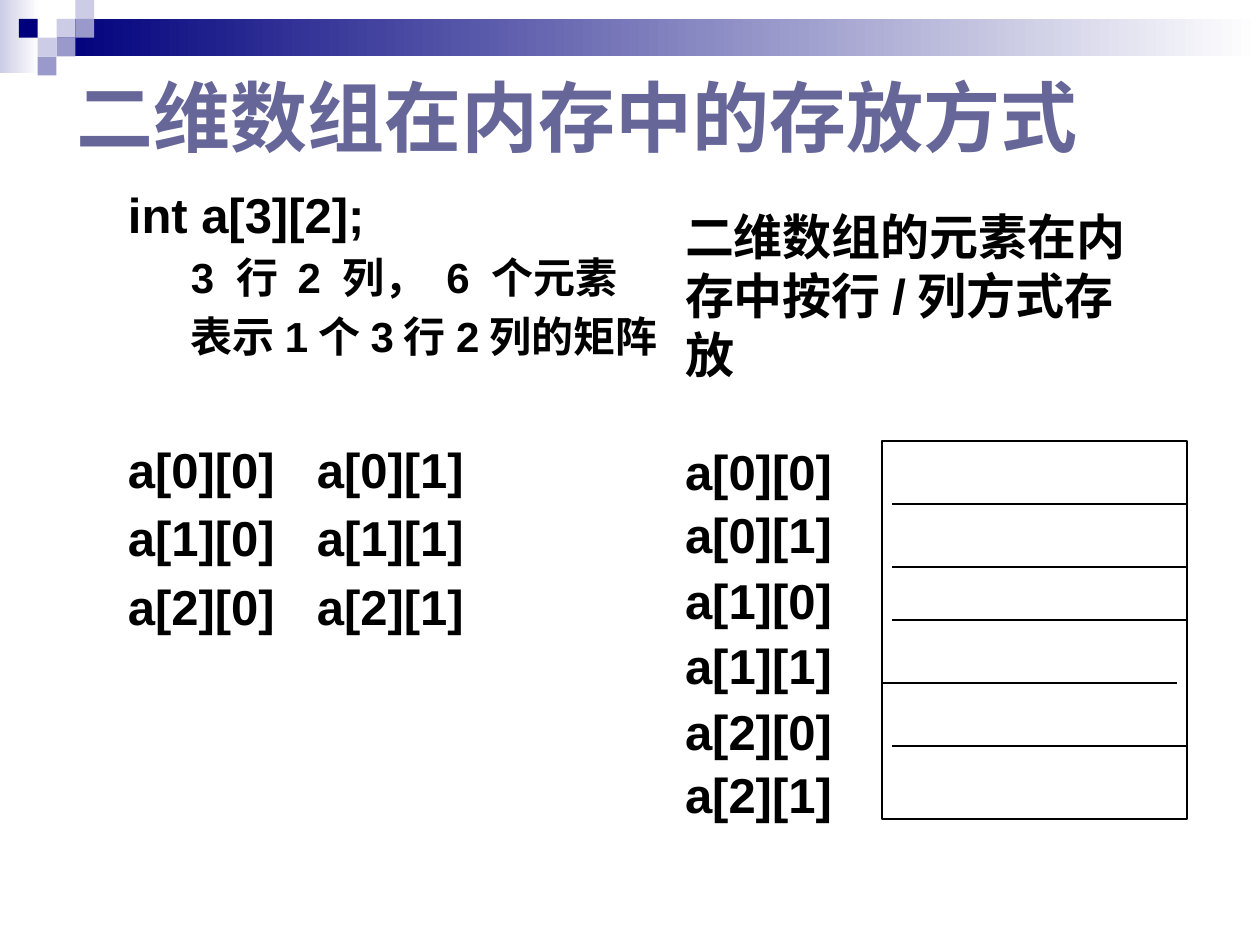
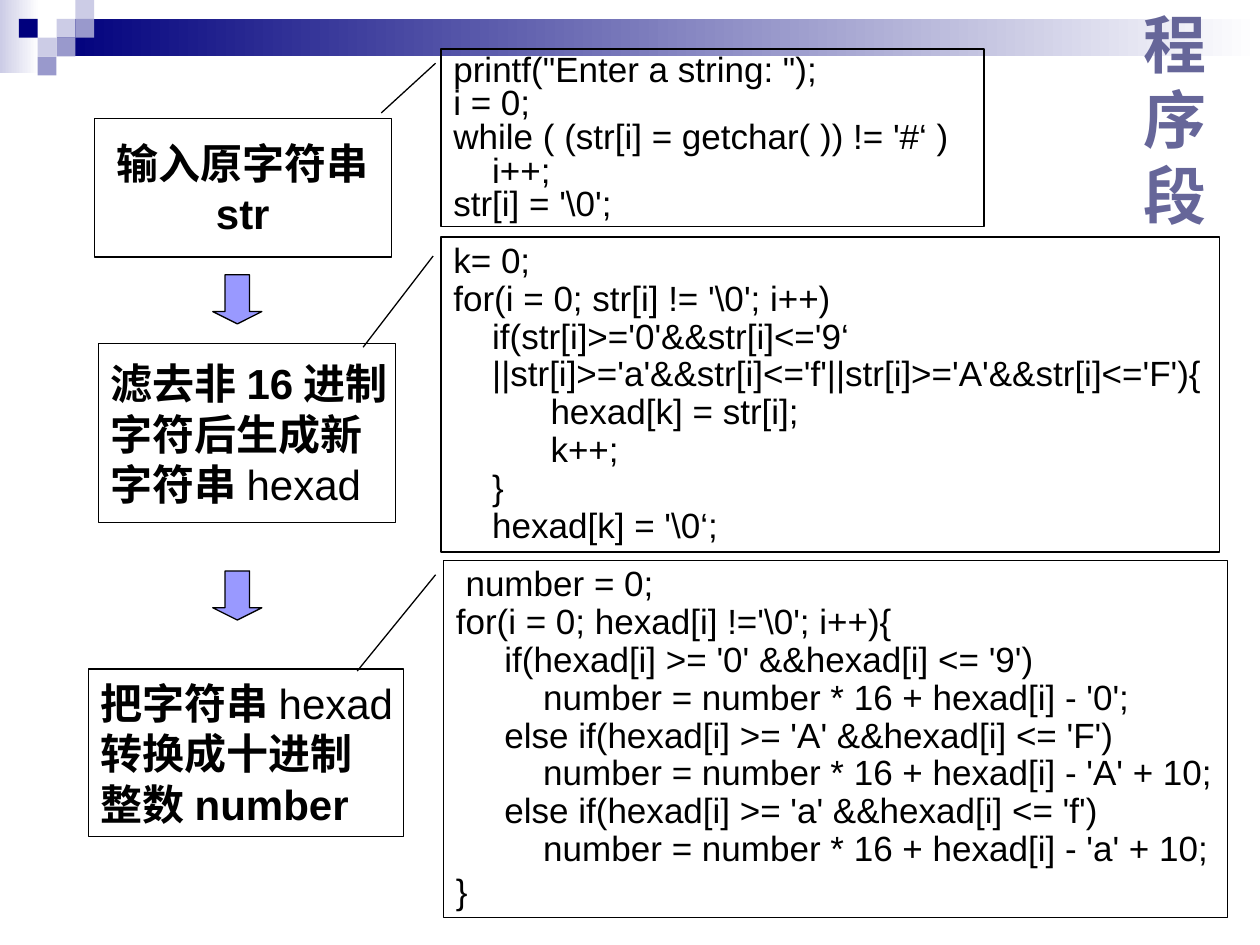
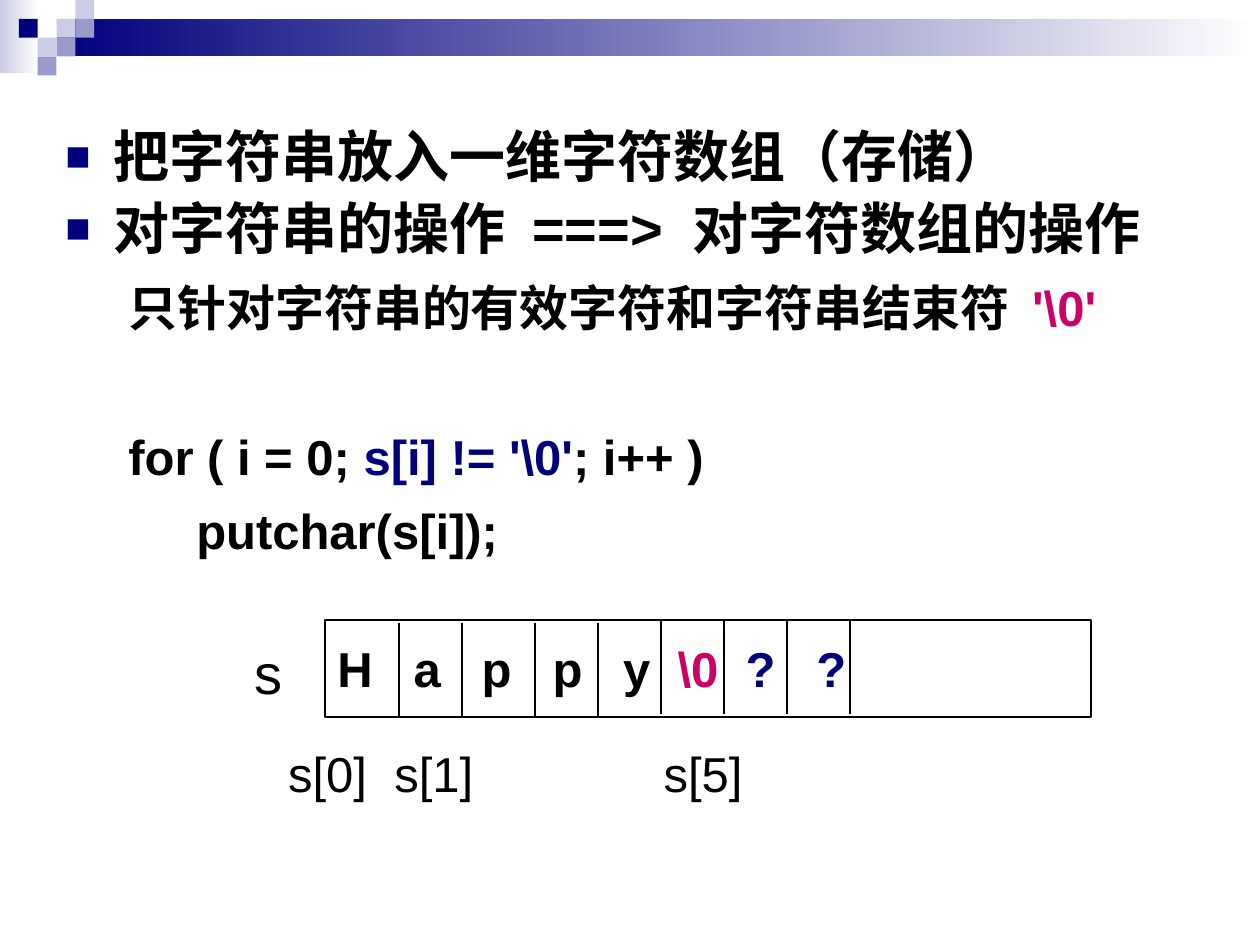
from lxml.etree import SubElement
from pptx import Presentation
from pptx.dml.color import RGBColor
from pptx.enum.shapes import MSO_CONNECTOR, MSO_SHAPE
from pptx.enum.text import MSO_ANCHOR, PP_ALIGN
from pptx.oxml.ns import qn
from pptx.util import Cm, Pt

BLACK, WHITE = "000000", "FFFFFF"
NAVY, LILAC, PALE = "00007D", "9999CC", "CCCCE6"
TITLE_COLOR, ARROW_FILL, ACCENT = "666699", "9999FF", "CC0066"

TITLE = {"name": "Times New Roman", "bold": True, "color": TITLE_COLOR}
BODY = {"name": "Arial", "size": 28, "bold": True, "color": BLACK}
PLAIN = BODY | {"bold": False}
STEP = BODY | {"size": 24}
CODE = PLAIN | {"size": 20}

TILE = 0.38
TILES = [(3, 1, PALE), (4, 0, PALE), (4, 1, LILAC), (2, 2, PALE),
         (1, 1, NAVY), (3, 2, LILAC), (2, 3, LILAC)]


def rgb(color):
    return RGBColor.from_string(color)


# Shapes and lines
def add_box(slide, box, kind=MSO_SHAPE.RECTANGLE, fill=None, line=None):
    """Fill is a colour, a pair of gradient colours or None; line is a width."""
    shape = slide.shapes.add_shape(kind, *map(Cm, box))
    shape.shadow.inherit = False
    if fill is None:
        shape.fill.background()
    elif isinstance(fill, tuple):
        shape.fill.gradient()
        shape.fill.gradient_angle = 0
        for position, stop in enumerate(shape.fill.gradient_stops):
            stop.color.rgb = rgb(fill[position])
            stop.position = position
    else:
        shape.fill.solid()
        shape.fill.fore_color.rgb = rgb(fill)
    if line is None:
        shape.line.fill.background()
    else:
        shape.line.color.rgb = rgb(BLACK)
        shape.line.width = Pt(line)
    return shape


def add_line(slide, *ends):
    line = slide.shapes.add_connector(MSO_CONNECTOR.STRAIGHT, *map(Cm, ends))
    line.line.color.rgb = rgb(BLACK)
    line.line.width = Pt(1)
    SubElement(line._element.spPr, qn("a:effectLst"))


# Text
def add_bullet(properties):
    color = SubElement(properties, qn("a:buClr"))
    SubElement(color, qn("a:srgbClr"), val=NAVY)
    SubElement(properties, qn("a:buSzPct"), val="75000")
    SubElement(properties, qn("a:buFont"), typeface="Arial")
    SubElement(properties, qn("a:buChar"), char="■")


def add_run(paragraph, text, style):
    run = paragraph.add_run()
    run.text = text
    for key, value in style.items():
        if key == "color":
            run.font.color.rgb = rgb(value)
        else:
            setattr(run.font, key, Pt(value) if key == "size" else value)


def write(shape, paragraphs, style, anchor=MSO_ANCHOR.TOP, wrap=True, **shared):
    """Each paragraph is (content, format); content is text or (text, style) runs."""
    frame = shape.text_frame
    frame.word_wrap = wrap
    frame.vertical_anchor = anchor
    for index, item in enumerate(paragraphs):
        content, extra = item if isinstance(item, tuple) else (item, {})
        layout = {"alignment": PP_ALIGN.LEFT} | shared | extra
        paragraph = frame.add_paragraph() if index else frame.paragraphs[0]
        properties = paragraph._p.get_or_add_pPr()
        hang, indent = layout.pop("hang", 0), layout.pop("indent", 0)
        properties.set("marL", str(Cm(indent)))
        properties.set("indent", str(-Cm(hang)))
        if layout.pop("bullet", False):
            add_bullet(properties)
        for key, value in layout.items():
            setattr(paragraph, key, value)
        runs = [(content, {})] if isinstance(content, str) else content
        for text, change in runs:
            add_run(paragraph, text, style | change)


def add_text(slide, box, paragraphs, style, **options):
    write(slide.shapes.add_textbox(*map(Cm, box)), paragraphs, style, **options)


def add_title(slide, box, text, size):
    add_text(slide, box, [text], TITLE | {"size": size}, anchor=MSO_ANCHOR.MIDDLE)


# Band and tiles at the top of every slide
def add_header(slide):
    add_box(slide, (0, 0, 0.79, 1.47), fill=(PALE, WHITE))
    add_box(slide, (1.14, TILE, 24.26, 2 * TILE), fill=(NAVY, WHITE))
    for column, row, color in TILES:
        add_box(slide, (column * TILE, row * TILE, TILE, TILE), fill=color)


# Slide 1: two-dimensional array in memory
def add_matrix_notes(slide, box):
    detail = {"indent": 1.27, "space_before": Pt(4.8)}
    row = {"space_before": Pt(5.6)}
    first_row = {"space_before": Pt(44.8)}
    size = {"size": 24}
    add_text(slide, box, [
        "int a[3][2];",
        ([("3 行 2 列， 6 个元素", size)], detail),
        ([("表示1个3行2列的矩阵", size)], detail),
        *[(f"a[{i}][0]\ta[{i}][1]", row if i else first_row) for i in range(3)],
    ], BODY)


def add_memory_labels(slide, box):
    labels = [f"a[{i}][{j}]" for i in range(3) for j in range(2)]
    spaced = {"space_before": Pt(2), "space_after": Pt(2)}
    add_text(slide, box, [
        "二维数组的元素在内存中按行/列方式存放",
        (labels[0], {"space_before": Pt(33.6)}),
        *[(label, spaced) for label in labels[1:-1]],
        labels[-1],
    ], BODY)


def add_memory_cells(slide, box):
    left, top, width, _ = box
    add_box(slide, box, line=1)
    gap = 0.2
    for offset, start, end in [(1.27, gap, width), (2.54, gap, width),
                               (3.61, gap, width), (4.88, 0, width - gap),
                               (6.15, gap, width)]:
        add_line(slide, left + start, top + offset, left + end, top + offset)


def build_array_slide(slide):
    add_title(slide, (1.3, 1.12, 23.06, 2.44), "二维数组在内存中的存放方式", 44)
    add_matrix_notes(slide, (2.33, 3.59, 11.4, 10.36))
    add_memory_labels(slide, (13.56, 4.04, 9.73, 12.27))
    add_memory_cells(slide, (17.78, 8.89, 6.15, 7.62))


# Slide 2: flow chart with code callouts
INPUT_CODE = r"""printf("Enter a string: ");
i = 0;
while ( (str[i] = getchar( )) != '#‘ )
    i++;
str[i] = '\0';"""

FILTER_CODE = r"""k= 0;
for(i = 0; str[i] != '\0'; i++)
    if(str[i]>='0'&&str[i]<='9‘
    ||str[i]>='a'&&str[i]<='f'||str[i]>='A'&&str[i]<='F'){
          hexad[k] = str[i];
          k++;
    }
    hexad[k] = '\0‘;"""

CONVERT_CODE = r""" number = 0;
for(i = 0; hexad[i] !='\0'; i++){
     if(hexad[i] >= '0' &&hexad[i] <= '9')
         number = number * 16 + hexad[i] - '0';
     else if(hexad[i] >= 'A' &&hexad[i] <= 'F')
         number = number * 16 + hexad[i] - 'A' + 10;
     else if(hexad[i] >= 'a' &&hexad[i] <= 'f')
         number = number * 16 + hexad[i] - 'a' + 10;
}"""


def add_step(slide, box, lines, alignment=PP_ALIGN.LEFT):
    step = add_box(slide, box, MSO_SHAPE.FLOWCHART_PROCESS, line=0.75)
    write(step, lines, STEP, anchor=MSO_ANCHOR.MIDDLE, wrap=False,
          alignment=alignment)


def add_code(slide, box, pointer, code, spacing):
    callout = add_box(slide, box, MSO_SHAPE.LINE_CALLOUT_1, line=0.75)
    for index, value in enumerate(pointer):
        callout.adjustments[index] = value
    lines = [(line, {"line_spacing": 1.0 if line == "}" else spacing})
             for line in code.splitlines()]
    write(callout, lines, CODE)


def build_program_slide(slide):
    add_title(slide, (22.81, 0.41, 1.98, 3.96), "程序段", 36)
    hexad = ("hexad", {"bold": False})
    add_step(slide, (1.9, 2.39, 5.99, 2.79), ["输入原字符串", "str"],
             PP_ALIGN.CENTER)
    add_step(slide, (1.98, 6.93, 5.99, 3.61),
             ["滤去非16进制", "字符后生成新", ([("字符串", {}), hexad], {})])
    add_step(slide, (1.78, 13.49, 6.35, 3.38),
             [([("把字符串", {}), hexad], {}), "转换成十进制", "整数number"])
    add_code(slide, (8.89, 0.99, 10.95, 3.58),
             (0.08, -0.01, 0.36, -0.11), INPUT_CODE, 0.8)
    add_code(slide, (8.89, 4.78, 15.7, 6.35),
             (0.06, -0.01, 0.35, -0.1), FILTER_CODE, 0.9)
    add_code(slide, (8.94, 11.3, 15.8, 7.19),
             (0.04, -0.01, 0.31, -0.11), CONVERT_CODE, 0.9)
    for top in (5.54, 11.51):
        arrow = add_box(slide, (4.29, top, 0.99, 0.99), MSO_SHAPE.DOWN_ARROW,
                        fill=ARROW_FILL, line=0.75)
        arrow.adjustments[1] = 0.25


# Slide 3: string in a character array
def add_string_notes(slide, box):
    point = {"indent": 0.97, "hang": 0.97, "bullet": True, "line_spacing": 0.9}
    line = {"indent": 1.27, "line_spacing": 1.1, "space_before": Pt(5.6)}
    large, navy = {"size": 32}, {"color": NAVY}
    add_text(slide, box, [
        ([("把字符串放入一维字符数组（存储）", large)], point),
        ([("对字符串的操作 ===> 对字符数组的操作", large)],
         point | {"space_before": Pt(6.4)}),
        ([("只针对字符串的有效字符和字符串结束符 ", {}),
          (r"'\0'", {"color": ACCENT})], line),
        ([("for ( i = 0; ", {}), (r"s[i] != '\0'", navy), ("; i++ )", {})],
         line | {"space_before": Pt(48.2)}),
        ("     putchar(s[i]);", line),
    ], BODY)


def add_string_cells(slide, box):
    left, top, _, _ = box
    add_box(slide, box, line=1)
    # Dividers: the first four sit slightly lower
    for index, offset in enumerate((1.5, 2.77, 4.24, 5.51, 6.78, 8.05, 9.32, 10.59)):
        start = top + (0.05 if index < 4 else 0)
        add_line(slide, left + offset, start, left + offset, start + 1.9)
    # Array name, characters and index labels
    add_text(slide, (left - 1.67, top + 0.25, 1.47, 1.6), ["s"], PLAIN | {"size": 32})
    characters = [*"Happy", r"\0", "?", "?"]
    colors = [BLACK] * 5 + [ACCENT, NAVY, NAVY]
    offsets = (0, 1.54, 2.91, 4.34, 5.76, 6.86, 8.23, 9.66)
    for character, color, offset in zip(characters, colors, offsets):
        add_text(slide, (left + offset, top + 0.25, 1.9, 1.42), [character],
                 BODY | {"color": color})
    for index, offset in ((0, -0.99), (1, 1.15), (5, 6.58)):
        add_text(slide, (left + offset, top + 2.36, 2.5, 1.42), [f"s[{index}]"], PLAIN)


def build_string_slide(slide):
    add_string_notes(slide, (1.07, 2.48, 23.06, 9.5))
    add_string_cells(slide, (6.55, 12.5, 15.44, 1.96))


def main():
    presentation = Presentation()
    presentation.slide_width, presentation.slide_height = Cm(25.4), Cm(19.05)
    for build in (build_array_slide, build_program_slide, build_string_slide):
        slide = presentation.slides.add_slide(presentation.slide_layouts[6])
        add_header(slide)
        build(slide)
    presentation.save("out.pptx")


if __name__ == "__main__":
    main()
